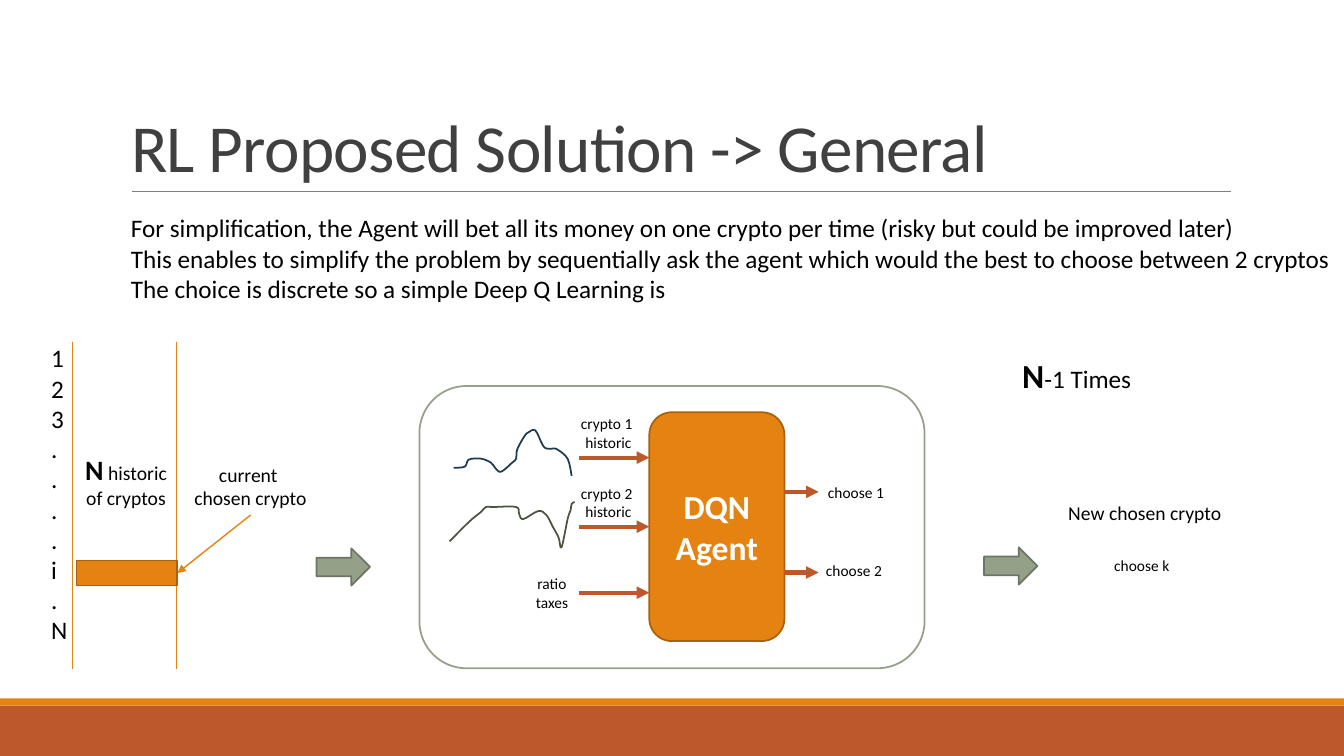
from dataclasses import dataclass

from lxml import etree
from pptx import Presentation
from pptx.dml.color import RGBColor
from pptx.enum.shapes import MSO_CONNECTOR, MSO_SHAPE
from pptx.enum.text import MSO_ANCHOR, MSO_AUTO_SIZE, PP_ALIGN
from pptx.oxml.ns import qn
from pptx.util import Inches, Pt

RECT, ROUNDED, RIGHT_ARROW = MSO_SHAPE.RECTANGLE, MSO_SHAPE.ROUNDED_RECTANGLE, MSO_SHAPE.RIGHT_ARROW
STRAIGHT = MSO_CONNECTOR.STRAIGHT
LEFT, CENTER = PP_ALIGN.LEFT, PP_ALIGN.CENTER
MIDDLE, BOTTOM = MSO_ANCHOR.MIDDLE, MSO_ANCHOR.BOTTOM
GROW, NO_FIT = MSO_AUTO_SIZE.SHAPE_TO_FIT_TEXT, MSO_AUTO_SIZE.NONE
SITE_LEFT, SITE_BOTTOM, SITE_RIGHT = 1, 2, 3


@dataclass(frozen=True)
class Theme:
    font: str = "Calibri"
    orange: str = "E48312"
    orange_edge: str = "A9610D"
    rust: str = "BD582C"
    sage: str = "94A088"
    sage_edge: str = "6D7665"
    navy: str = "203A4E"
    olive: str = "4A543E"
    rule: str = "808080"
    heading: str = "404040"
    text: str = "000000"
    white: str = "FFFFFF"
    title_size: float = 48
    large: float = 24
    medium: float = 20
    body: float = 18
    label: float = 14
    small: float = 11


THEME = Theme()


@dataclass(frozen=True)
class Run:
    text: str
    size: float
    bold: bool = False


@dataclass(frozen=True)
class Label:
    box: tuple
    lines: list
    size: float = THEME.small
    align: int = CENTER


@dataclass(frozen=True)
class Line:
    start: tuple
    end: tuple
    color: str = THEME.orange
    width: float = 1
    arrow: bool = False


@dataclass(frozen=True)
class Curve:
    color: str
    points: list


LABELS = [
    Label((1.2, 2.06, 12.24, 1.01), [
        "For simplification, the Agent will bet all its money on one crypto per time (risky but could be improved later)",
        "This enables to simplify the problem by sequentially ask the agent which would the best to choose between 2 cryptos",
        "The choice is discrete so a simple Deep Q Learning is",
    ], THEME.body, LEFT),
    Label((0.74, 4.44, 1.02, 0.67),
          [[Run("N", THEME.medium, True), Run(" historic", THEME.label)], "of cryptos"], THEME.label),
    Label((5.66, 4.06, 0.75, 0.47), ["crypto 1 ", "historic"]),
    Label((5.66, 4.75, 0.75, 0.47), ["crypto 2 ", "historic"]),
    Label((5.21, 5.65, 0.53, 0.47), ["ratio", "taxes"]),
    Label((8.11, 4.74, 0.76, 0.29), ["choose 1"]),
    Label((8.09, 5.52, 0.76, 0.29), ["choose 2"]),
    Label((10.04, 3.47, 1.29, 0.5),
          [[Run("N", THEME.large, True), Run("-1 Times", THEME.body)]], THEME.body, LEFT),
    Label((10.49, 4.92, 1.73, 0.34), ["New chosen crypto"], THEME.label),
    Label((0.41, 3.35, 0.36, 3.13), list("123....i.N"), THEME.body, LEFT),
    Label((10.95, 5.47, 0.75, 0.29), ["choose k"]),
]
CURVES = [
    Curve(THEME.navy, [
        (4.5, 4.64), (4.61, 4.63), (4.65, 4.56), (4.77, 4.55), (4.87, 4.59), (4.91, 4.64),
        (4.97, 4.68), (5.08, 4.59), (5.12, 4.55), (5.13, 4.46), (5.2, 4.33), (5.24, 4.29),
        (5.31, 4.27), (5.38, 4.41), (5.42, 4.45), (5.49, 4.45), (5.53, 4.46), (5.63, 4.55), (5.67, 4.72)]),
    Curve(THEME.olive, [
        (4.46, 5.37), (4.66, 5.17), (4.77, 5.08), (4.82, 5.03), (4.89, 5.03), (5.12, 5.03),
        (5.15, 5.1), (5.19, 5.15), (5.34, 5.07), (5.42, 5.11), (5.48, 5.22), (5.54, 5.33),
        (5.57, 5.43), (5.63, 5.15), (5.66, 5.06), (5.67, 5), (5.7, 4.98)]),
]


def rgb(color: str) -> RGBColor:
    return RGBColor.from_string(color)


def write(tf, lines: list, *, size: float, color: str = THEME.text, bold: bool = False,
          align: int = CENTER, spacing: float | None = None, tracking: int = 0) -> None:
    for i, line in enumerate(lines):
        p = tf.paragraphs[0] if i == 0 else tf.add_paragraph()
        p.alignment = align
        if spacing:
            p.line_spacing = spacing
        for run in [Run(line, size, bold)] if isinstance(line, str) else line:
            r = p.add_run()
            r.text = run.text
            r.font.name, r.font.size, r.font.bold = THEME.font, Pt(run.size), run.bold
            r.font.color.rgb = rgb(color)
            if tracking:
                r.font._element.set("spc", str(tracking))


def add_label(s, label: Label):
    sp = s.shapes.add_textbox(*map(Inches, label.box))
    tf = sp.text_frame
    tf.word_wrap, tf.auto_size = False, GROW
    write(tf, label.lines, size=label.size, align=label.align)
    return sp


def style(sp, fill: str | None, edge: str | None) -> None:
    sp.shadow.inherit = False
    if fill:
        sp.fill.solid()
        sp.fill.fore_color.rgb = rgb(fill)
    else:
        sp.fill.background()
    if edge:
        sp.line.color.rgb, sp.line.width = rgb(edge), Pt(1.25)
    else:
        sp.line.fill.background()


def add_block(s, kind: int, box: tuple, fill: str | None = None, edge: str | None = None):
    sp = s.shapes.add_shape(kind, *map(Inches, box))
    style(sp, fill, edge)
    return sp


def add_line(s, line: Line):
    c = s.shapes.add_connector(STRAIGHT, *map(Inches, line.start + line.end))
    c.line.color.rgb, c.line.width = rgb(line.color), Pt(line.width)
    if line.arrow:
        etree.SubElement(c.line._get_or_add_ln(), qn("a:tailEnd"), type="triangle")
    etree.SubElement(c._element.spPr, qn("a:effectLst"))
    return c


def round_corners(sp) -> None:
    points = [(int(pt.get("x")), int(pt.get("y"))) for pt in sp._element.iter(qn("a:pt"))]
    padded = [points[0], *points, points[-1]]
    segments = list(sp._element.iter(qn("a:lnTo")))
    for segment, a, b, c, d in zip(segments, padded, padded[1:], padded[2:], padded[3:]):
        bezier = etree.Element(qn("a:cubicBezTo"))
        leave = [q + (r - p) // 6 for p, q, r in zip(a, b, c)]
        arrive = [q - (r - p) // 6 for p, q, r in zip(b, c, d)]
        for x, y in (leave, arrive, c):
            etree.SubElement(bezier, qn("a:pt"), x=str(x), y=str(y))
        segment.getparent().replace(segment, bezier)


def add_curve(s, curve: Curve) -> None:
    start, *rest = [(Inches(x), Inches(y)) for x, y in curve.points]
    builder = s.shapes.build_freeform(*start)
    builder.add_line_segments(rest, close=False)
    sp = builder.convert_to_shape()
    round_corners(sp)
    style(sp, None, curve.color)


def add_title(s, text: str) -> None:
    sp = s.shapes.title
    sp.left, sp.top, sp.width, sp.height = map(Inches, (1.2, 0.31, 11, 1.59))
    tf = sp.text_frame
    tf.vertical_anchor, tf.word_wrap, tf.auto_size = BOTTOM, True, NO_FIT
    write(tf, [text], size=THEME.title_size, color=THEME.heading, align=LEFT, spacing=0.85, tracking=-50)


def main() -> None:
    prs = Presentation()
    prs.slide_width, prs.slide_height = Inches(13.33), Inches(7.5)
    s = prs.slides.add_slide(prs.slide_layouts[5])

    add_block(s, RECT, (0, 7, 13.33, 0.5), THEME.rust)
    add_block(s, RECT, (0, 6.93, 13.33, 0.07), THEME.orange)
    add_line(s, Line((1.31, 1.9), (12.21, 1.9), THEME.rule, 0.5))
    add_title(s, "RL Proposed Solution -> General")

    for x in (0.72, 1.75):
        add_line(s, Line((x, 3.39), (x, 6.64)))
    add_block(s, ROUNDED, (4.16, 3.83, 5.01, 2.8), edge=THEME.sage)
    for x, y in ((3.14, 5.44), (9.76, 5.43)):
        add_block(s, RIGHT_ARROW, (x, y, 0.53, 0.37), THEME.sage, THEME.sage_edge)

    chosen_row = add_block(s, RECT, (0.76, 5.56, 1, 0.25), THEME.orange, THEME.orange_edge)
    chosen_label = add_label(s, Label((1.82, 4.54, 1.33, 0.57), ["current ", "chosen crypto"], THEME.label))
    pointer = add_line(s, Line((2.48, 5.11), (1.76, 5.68), arrow=True))
    pointer.begin_connect(chosen_label, SITE_BOTTOM)
    pointer.end_connect(chosen_row, SITE_RIGHT)

    agent = add_block(s, ROUNDED, (6.44, 4.09, 1.34, 2.27), THEME.orange, THEME.orange_edge)
    agent.text_frame.vertical_anchor = MIDDLE
    write(agent.text_frame, ["DQN", "Agent"], size=THEME.large, color=THEME.white, bold=True)
    inputs = [add_line(s, Line((5.74, y), (6.44, y), THEME.rust, 3, True)) for y in (4.54, 5.23, 5.88)]
    inputs[1].begin_y = agent.top + agent.height // 2
    inputs[1].end_connect(agent, SITE_LEFT)
    for y in (4.88, 5.68):
        add_line(s, Line((7.78, y), (8.12, y), THEME.rust, 3, True))

    for curve in CURVES:
        add_curve(s, curve)
    for label in LABELS:
        add_label(s, label)
    prs.save("out.pptx")


if __name__ == "__main__":
    main()
